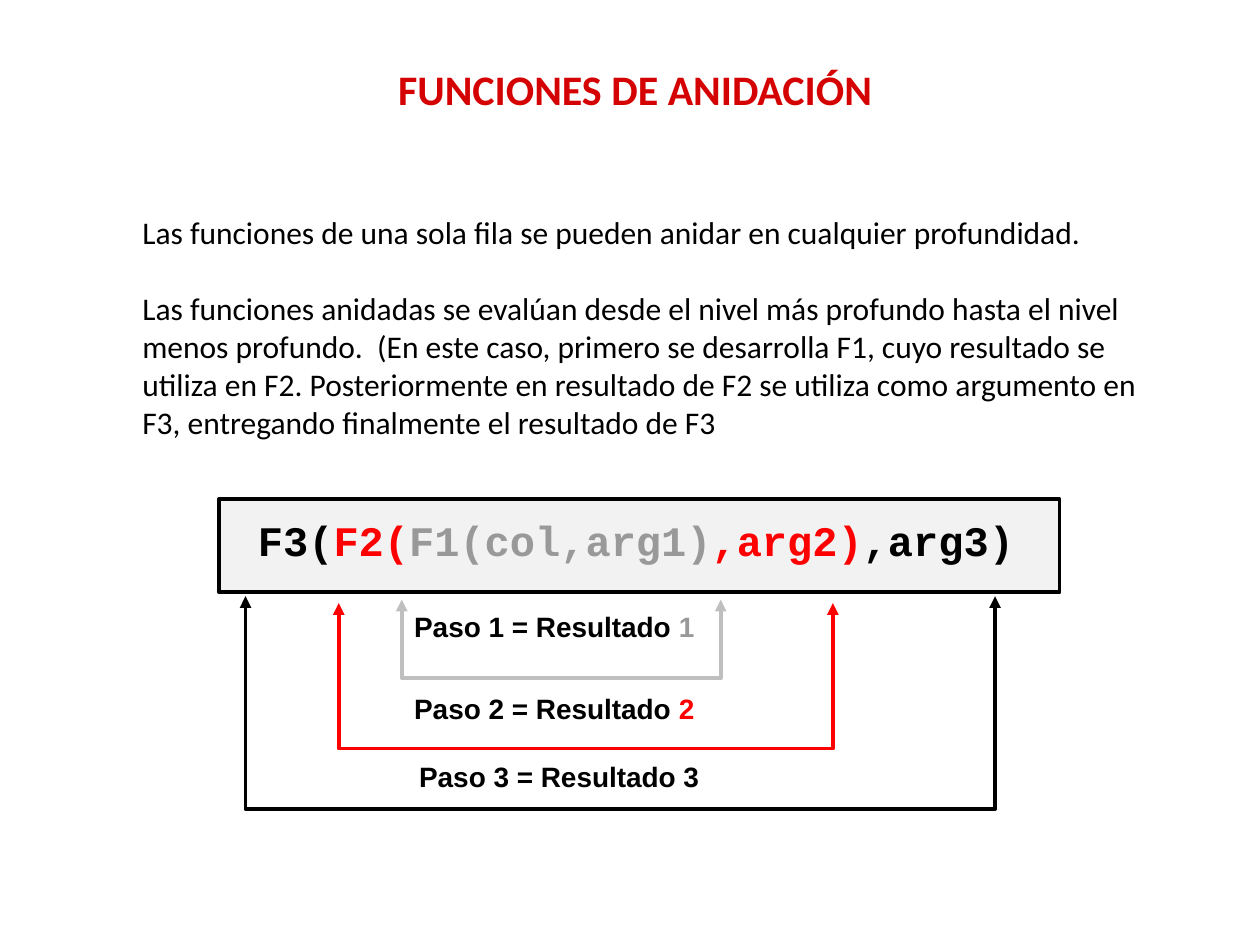
from lxml.etree import SubElement
from pptx import Presentation
from pptx.dml.color import RGBColor
from pptx.enum.shapes import MSO_SHAPE
from pptx.enum.text import MSO_ANCHOR, MSO_AUTO_SIZE, PP_ALIGN
from pptx.oxml.ns import qn
from pptx.util import Cm, Pt

CRIMSON = RGBColor(0xD4, 0x02, 0x02)
BLACK = RGBColor(0, 0, 0)
RED = RGBColor(0xFF, 0, 0)
GRAY = RGBColor(0x99, 0x99, 0x99)
SILVER = RGBColor(0xBF, 0xBF, 0xBF)
PALE = RGBColor(0xF2, 0xF2, 0xF2)


def write(frame, paragraphs, *, size, font, bold=False, align=PP_ALIGN.LEFT,
          anchor=MSO_ANCHOR.TOP, wrap=True, gap=0, line_spacing=None):
    frame.auto_size = MSO_AUTO_SIZE.NONE
    frame.word_wrap = wrap
    frame.vertical_anchor = anchor
    for index, pieces in enumerate(paragraphs):
        paragraph = frame.add_paragraph() if index else frame.paragraphs[0]
        paragraph.alignment = align
        paragraph.space_before = Pt(gap if index else 0)
        if line_spacing:
            paragraph.line_spacing = line_spacing
        for words, color in pieces:
            run = paragraph.add_run()
            run.text = words
            run.font.size = Pt(size)
            run.font.name = font
            run.font.bold = bold
            run.font.color.rgb = color


def place_heading(slide, left, top, width, height):
    heading = slide.shapes.title
    heading.left, heading.top, heading.width, heading.height = left, top, width, height
    write(heading.text_frame, [[("FUNCIONES DE ANIDACIÓN", CRIMSON)]], size=24,
          font="Calibri", bold=True, align=PP_ALIGN.CENTER, anchor=MSO_ANCHOR.MIDDLE)


def place_explanation(slide, left, top, width, height):
    explanation = slide.shapes.add_textbox(left, top, width, height)
    sentences = [
        "Las funciones de una sola fila se pueden anidar en cualquier profundidad.",
        "Las funciones anidadas se evalúan desde el nivel más profundo hasta el nivel "
        "menos profundo.  (En este caso, primero se desarrolla F1, cuyo resultado se "
        "utiliza en F2. Posteriormente en resultado de F2 se utiliza como argumento en "
        "F3, entregando finalmente el resultado de F3",
    ]
    write(explanation.text_frame, [[(sentence, BLACK)] for sentence in sentences],
          size=18, font="Calibri", gap=22)


def place_bracket(slide, left, top, width, height, color):
    builder = slide.shapes.build_freeform(left, top)
    builder.add_line_segments([(left, top + height), (left + width, top + height),
                               (left + width, top)], close=False)
    bracket = builder.convert_to_shape()
    bracket.shadow.inherit = False
    bracket.fill.background()
    bracket.line.color.rgb = color
    bracket.line.width = Pt(2.25)
    outline = bracket.line._get_or_add_ln()
    for end in ("a:headEnd", "a:tailEnd"):
        SubElement(outline, qn(end), type="triangle")


def place_expression(slide, left, top, width, height):
    panel = slide.shapes.add_shape(MSO_SHAPE.RECTANGLE, left, top, width, height)
    panel.shadow.inherit = False
    panel.fill.solid()
    panel.fill.fore_color.rgb = PALE
    panel.line.color.rgb = BLACK
    panel.line.width = Pt(2.25)
    expression = slide.shapes.add_textbox(left + Cm(0.53), top + Cm(0.43),
                                          width - Cm(1.06), Cm(1.04))
    write(expression.text_frame,
          [[("F3(", BLACK), ("F2(", RED), ("F1(col,arg1)", GRAY),
            (",arg2)", RED), (",arg3)", BLACK)]],
          size=24, font="Courier New", bold=True, wrap=False, line_spacing=Pt(22))


def place_nesting(slide, left, top, width):
    place_expression(slide, left, top, width, Cm(1.88))
    brackets = [
        (0.53, 1.96, 15.11, 4.29, BLACK),
        (2.41, 2.1, 9.96, 2.93, RED),
        (3.68, 2.03, 6.43, 1.58, SILVER),
    ]
    for x, y, across, down, color in brackets:
        place_bracket(slide, left + Cm(x), top + Cm(y), Cm(across), Cm(down), color)
    steps = [(3.68, 2.11, GRAY), (3.68, 3.76, RED), (3.78, 5.13, BLACK)]
    for number, (x, y, color) in enumerate(steps, 1):
        step = slide.shapes.add_textbox(left + Cm(x), top + Cm(y), Cm(6.22), Cm(0.94))
        write(step.text_frame,
              [[(f"Paso {number} = Resultado ", BLACK), (str(number), color)]],
              size=16, font="Arial", bold=True, wrap=False)


def main():
    deck = Presentation()
    deck.slide_width, deck.slide_height = Cm(25.4), Cm(19.05)
    slide = deck.slides.add_slide(deck.slide_layouts[5])
    place_heading(slide, Cm(2.62), Cm(0.89), Cm(20.37), Cm(1.8))
    place_explanation(slide, Cm(2.62), Cm(4.17), Cm(21.34), Cm(4.88))
    place_nesting(slide, Cm(4.42), Cm(10.06), Cm(16.94))
    deck.save("out.pptx")


if __name__ == "__main__":
    main()
